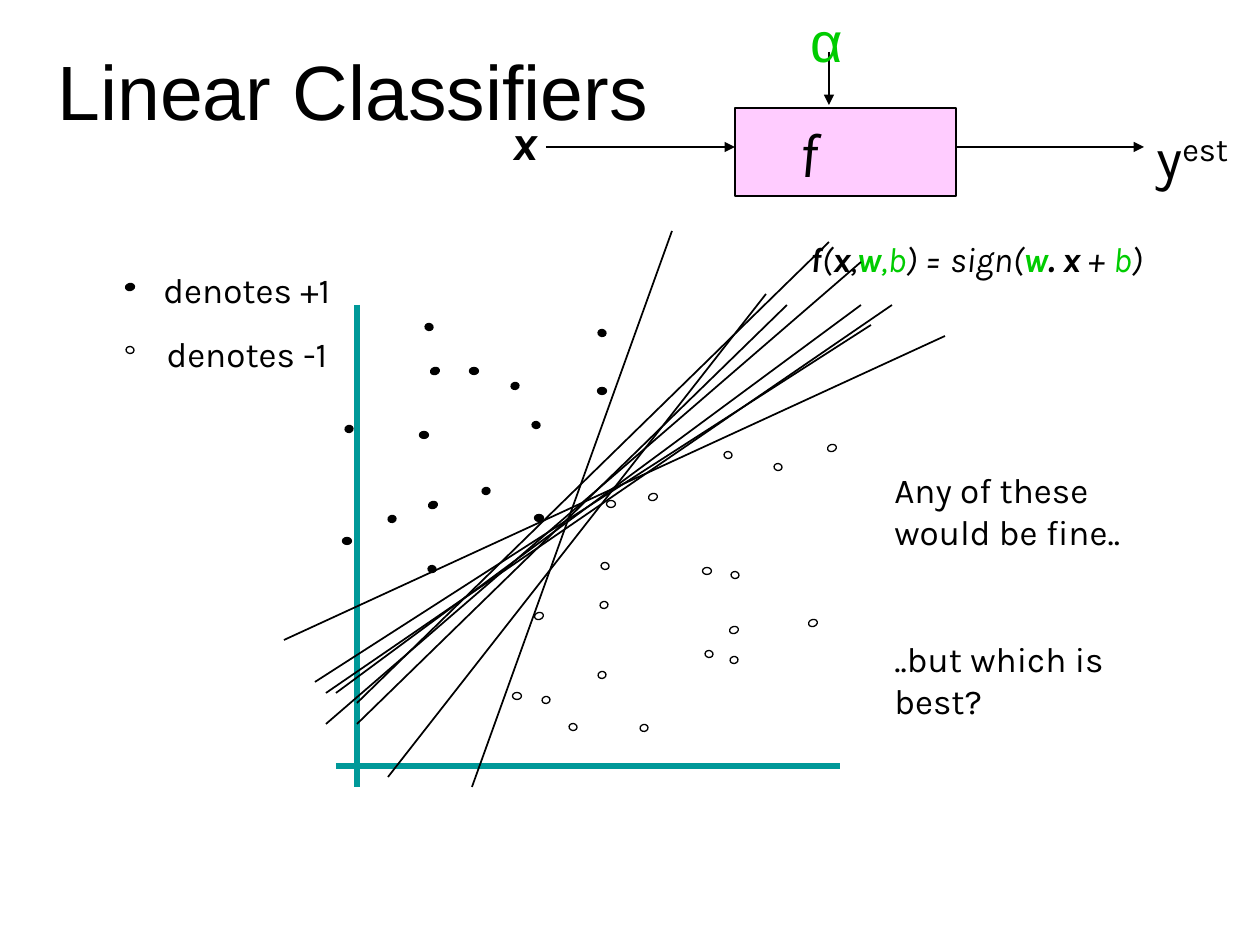
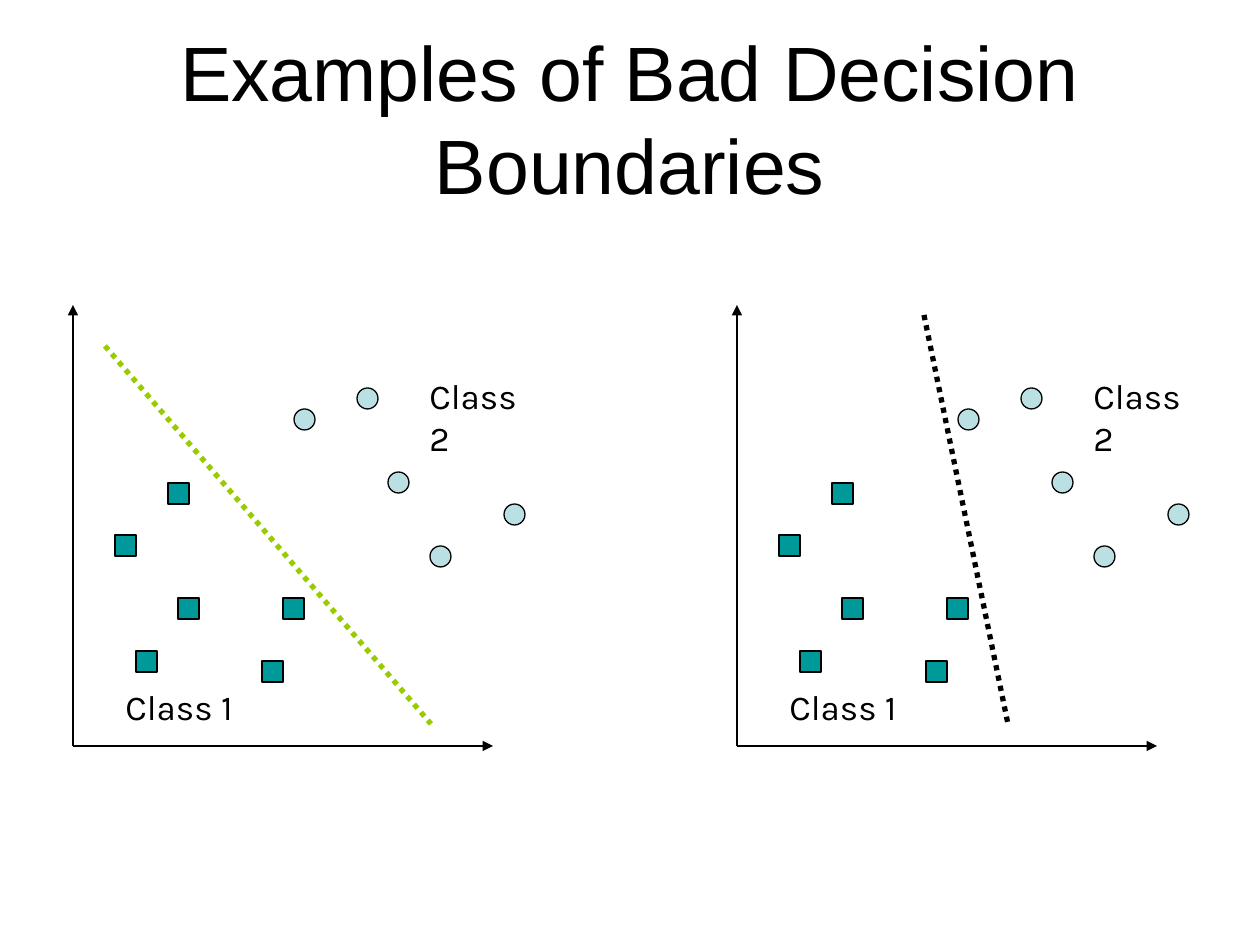
import pptx
import pptx.util
import pptx.dml.color
import pptx.enum.dml
import pptx.enum.shapes
import pptx.enum.text
import pptx.oxml.ns
from lxml import etree

PX = 7257  # EMU in one px, 126 px to the inch
COLORS = {
    "black": "000000", "white": "FFFFFF", "pink": "FFCCFF", "green": "00CC00",
    "teal": "009999", "pale": "BBE0E3", "lime": "99CC00",
}
BODY, HEAD = "Karla", "Arial"
ALIGN = pptx.enum.text.PP_ALIGN
ANCHOR = pptx.enum.text.MSO_ANCHOR
SHAPE = pptx.enum.shapes.MSO_SHAPE

# Dots of the scatter plot by tilt: (width, height, +1 centres, -1 centres)
DOTS = {
    0: (9, 7, [(63, 310), (318, 160), (190, 140), (255, 287), (140, 204)],
        [(233, 465), (327, 273), (423, 340)]),
    341.4: (9, 7, [(151, 140), (149, 274)],
            [(255, 385), (548, 217), (450, 399), (369, 266), (529, 392)]),
    98.2: (7, 8, [(252, 194), (148, 338), (318, 102), (145, 96)],
           [(289, 496), (451, 344), (321, 335), (494, 236), (444, 224), (425, 423)]),
    79.6: (7, 8, [(202, 260), (108, 288), (231, 155), (65, 198)],
           [(360, 497), (318, 444), (320, 374), (262, 469), (450, 429)]),
}
SEPARATORS = [
    (188, 556, 388, 0), (31, 451, 587, 94), (73, 493, 503, 74),
    (0, 409, 661, 105), (52, 462, 577, 74), (42, 493, 577, 31),
    (73, 472, 545, 11), (104, 546, 482, 63), (42, 462, 608, 74),
]
CLASS_1 = [(42, 230), (210, 293), (189, 356), (105, 293), (63, 346), (95, 178)]
CLASS_2 = [(284, 83), (315, 167), (431, 199), (221, 104), (357, 241)]
MARK = 21


def px(*lengths):
    return [round(n * PX) for n in lengths]


def rgb(name):
    return pptx.dml.color.RGBColor.from_string(COLORS[name])


def add_line(slide, x1, y1, x2, y2, color="black", width=1, arrow=False, dotted=False):
    sp = slide.shapes.add_connector(
        pptx.enum.shapes.MSO_CONNECTOR.STRAIGHT, *px(x1, y1, x2, y2))
    sp.line.color.rgb = rgb(color)
    sp.line.width = pptx.util.Pt(width)
    if dotted:
        sp.line.dash_style = pptx.enum.dml.MSO_LINE.ROUND_DOT
    if arrow:
        etree.SubElement(sp.line._get_or_add_ln(),
                         pptx.oxml.ns.qn("a:tailEnd"), type="triangle")
    etree.SubElement(sp._element.spPr, pptx.oxml.ns.qn("a:effectLst"))


def add_figure(slide, kind, x, y, w, h, fill, width=0.75, tilt=0):
    sp = slide.shapes.add_shape(kind, *px(x, y, w, h))
    sp.shadow.inherit = False
    sp.rotation = tilt
    sp.fill.solid()
    sp.fill.fore_color.rgb = rgb(fill)
    sp.line.color.rgb = rgb("black")
    sp.line.width = pptx.util.Pt(width)
    return sp


def add_dot(slide, cx, cy, w, h, fill, tilt):
    add_figure(slide, SHAPE.OVAL, cx - w / 2, cy - h / 2, w, h, fill, tilt=tilt)


def write(tf, paragraphs, size, font=BODY, color="black", align=ALIGN.LEFT,
          gap=0, bold=False, italic=False):
    """Each paragraph is a string or a list of (text, bold, color) runs."""
    tf.word_wrap = True
    for i, content in enumerate(paragraphs):
        p = tf.add_paragraph() if i else tf.paragraphs[0]
        p.alignment = align
        if i:
            p.space_before = pptx.util.Pt(gap)
        p.font.size = pptx.util.Pt(size)
        p.font.name = font
        p.font.italic = italic
        runs = [(content, bold, color)] if isinstance(content, str) else content
        if len({run[1:] for run in runs}) == 1:
            p.font.bold = runs[0][1]
            p.font.color.rgb = rgb(runs[0][2])
        for text, run_bold, run_color in runs:
            r = p.add_run()
            r.text = text
            if len(runs) > 1:
                r.font.bold = run_bold
                r.font.color.rgb = rgb(run_color)


def add_text(slide, x, y, w, h, paragraphs, size, **style):
    tf = slide.shapes.add_textbox(*px(x, y, w, h)).text_frame
    write(tf, paragraphs, size, **style)
    return tf


def add_title(slide, x, y, w, h, text):
    tf = add_text(slide, x, y, w, h, [text], 44, font=HEAD, align=ALIGN.CENTER)
    tf.vertical_anchor = ANCHOR.MIDDLE


def classifier_diagram(slide, x, y):
    # Function box, its letter set left of the middle
    box = add_figure(slide, SHAPE.RECTANGLE, x + 252, y + 108, 221, 88, "pink", width=1)
    write(box.text_frame, ["f"], 36, align=ALIGN.CENTER, italic=True)
    box.text_frame.vertical_anchor = ANCHOR.MIDDLE
    box.text_frame.margin_right = 87 * PX
    # Input, parameter and output arrows
    for x1, y1, x2, y2 in [(63, 147, 252, 147), (346, 52, 346, 105), (473, 147, 661, 147)]:
        add_line(slide, x + x1, y + y1, x + x2, y + y2, arrow=True)
    add_text(slide, x, y + 105, 84, 72, ["x"], 28, align=ALIGN.CENTER,
             bold=True, italic=True)
    add_text(slide, x + 315, y, 53, 80, ["α"], 32, font=HEAD, color="green",
             align=ALIGN.CENTER)
    tf = add_text(slide, x + 661, y + 116, 116, 80,
                  [[("y", False, "black"), ("est", False, "black")]], 32)
    tf.paragraphs[0].runs[1].font._element.set("baseline", "30000")
    # Formula
    formula = [("f", True, "black"), ("(", False, "black"), ("x", True, "black"),
               (",", False, "black"), ("w", True, "green"), (",b", False, "green"),
               (") = sign(", False, "black"), ("w", True, "green"),
               (". x ", True, "black"), ("+ ", False, "black"),
               ("b", False, "green"), (")", False, "black")]
    add_text(slide, x + 273, y + 231, 441, 55, [formula], 20,
             align=ALIGN.CENTER, italic=True)


def legend(slide, x, y):
    add_text(slide, x, y, 262, 118, ["denotes +1", "denotes -1"], 20,
             align=ALIGN.CENTER, gap=12.5)
    add_dot(slide, x + 14, y + 25, 7, 9, "black", 79.6)
    add_dot(slide, x + 14, y + 88, 7, 8, "white", 98.2)


def scatter_plot(slide, x, y):
    # Axes
    add_line(slide, x + 73, y + 74, x + 73, y + 556, "teal", 3)
    add_line(slide, x + 52, y + 535, x + 556, y + 535, "teal", 3)
    # Data points
    for tilt, (w, h, plus, minus) in DOTS.items():
        for fill, centres in (("black", plus), ("white", minus)):
            for cx, cy in centres:
                add_dot(slide, x + cx, y + cy, w, h, fill, tilt)
    # Candidate boundaries
    for x1, y1, x2, y2 in SEPARATORS:
        add_line(slide, x + x1, y + y1, x + x2, y + y2)


def class_panel(slide, x, y, boundary, color):
    # Axes from the common origin
    add_line(slide, x, y + 441, x, y, arrow=True)
    add_line(slide, x, y + 441, x + 420, y + 441, arrow=True)
    # Members of both classes
    for kind, fill, places in ((SHAPE.OVAL, "pale", CLASS_2),
                               (SHAPE.RECTANGLE, "teal", CLASS_1)):
        for left, top in places:
            add_figure(slide, kind, x + left, y + top, MARK, MARK, fill)
    add_text(slide, x + 40, y + 374, 139, 55, ["Class 1"], 20)
    add_text(slide, x + 344, y + 63, 125, 97, ["Class 2"], 20)
    # Decision boundary
    x1, y1, x2, y2 = boundary
    add_line(slide, x + x1, y + y1, x + x2, y + y2, color, 3, dotted=True)


def linear_classifiers(slide):
    add_title(slide, 33, 42, 640, 95, "Linear Classifiers")
    classifier_diagram(slide, 483, 0)
    legend(slide, 116, 262)
    scatter_plot(slide, 284, 231)
    add_text(slide, 882, 462, 305, 267,
             ["Any of these would be fine..", "..but which is best?"], 20, gap=49)


def bad_boundaries(slide):
    add_title(slide, 63, 38, 1134, 158, "Examples of Bad Decision Boundaries")
    class_panel(slide, 73, 305, (32, 41, 358, 419), "lime")
    class_panel(slide, 737, 305, (187, 10, 271, 419), "black")


def main():
    prs = pptx.Presentation()
    prs.slide_width = pptx.util.Inches(10)
    prs.slide_height = pptx.util.Inches(7.5)
    for build in (linear_classifiers, bad_boundaries):
        build(prs.slides.add_slide(prs.slide_layouts[6]))
    prs.save("out.pptx")


if __name__ == "__main__":
    main()
